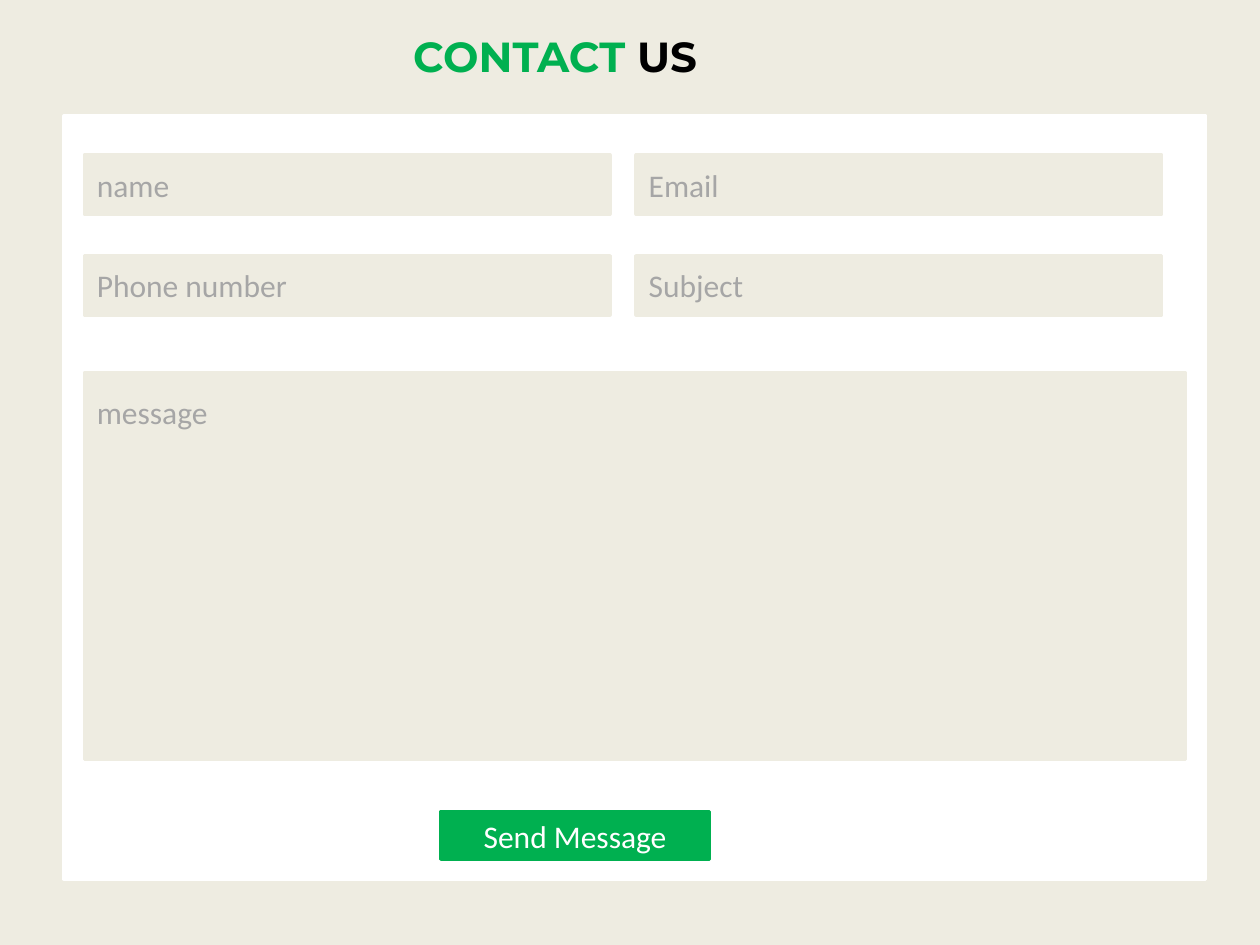
from lxml import etree
from pptx import Presentation
from pptx.dml.color import RGBColor
from pptx.enum.shapes import MSO_SHAPE
from pptx.enum.text import MSO_ANCHOR, PP_ALIGN
from pptx.oxml.ns import qn
from pptx.util import Inches, Pt

RECT = MSO_SHAPE.RECTANGLE
TOP, MIDDLE = MSO_ANCHOR.TOP, MSO_ANCHOR.MIDDLE
LEFT, CENTER = PP_ALIGN.LEFT, PP_ALIGN.CENTER

COLORS = {"sand": "EEECE1", "white": "FFFFFF", "green": "00B050",
          "gray": "A6A6A6", "black": "000000"}
TITLE = [("CONTACT", "green"), (" US", "black")]
FIELDS = [[("name", True), ("Email", False)],
          [("Phone number", True), ("Subject", False)]]
COLS, ROWS = (0.67, 5.05), (1.23, 2.03)
FIELD = (4.17, 0.47)
HEAD = {"name": "Montserrat", "size": Pt(24), "bold": True}
BODY = {"name": "Calibri", "size": Pt(18), "bold": False}


def rgb(key):
    return RGBColor.from_string(COLORS[key])


def add_run(para, text, color, style, edge=False):
    run = para.add_run()
    run.text = text
    for key, value in style.items():
        setattr(run.font, key, value)
    run.font.color.rgb = rgb(color)
    if edge:
        line = etree.Element(qn("a:ln"), w=str(Pt(0.75)))
        fill = etree.SubElement(line, qn("a:solidFill"))
        etree.SubElement(fill, qn("a:srgbClr"), val=COLORS[color])
        run.font._element.insert(0, line)


def add_box(slide, area, fill, text="", color="gray", edge=False,
            align=LEFT, anchor=MIDDLE, inset=0.05):
    box = slide.shapes.add_shape(RECT, *map(Inches, area))
    box.shadow.inherit = False
    box.fill.solid()
    box.fill.fore_color.rgb = box.line.color.rgb = rgb(fill)
    box.line.width = Pt(2)
    if text:
        frame = box.text_frame
        frame.vertical_anchor = anchor
        frame.margin_top = Inches(inset)
        frame.paragraphs[0].alignment = align
        add_run(frame.paragraphs[0], text, color, BODY, edge)


def main():
    """Build the contact form slide."""
    deck = Presentation()
    deck.slide_width, deck.slide_height = Inches(10), Inches(7.5)
    slide = deck.slides.add_slide(deck.slide_layouts[0])
    slide.background.fill.solid()
    slide.background.fill.fore_color.rgb = rgb("sand")
    sub = slide.placeholders[1]._element
    sub.getparent().remove(sub)

    title = slide.shapes.title
    spot = dict(left=2.95, top=0.01, width=2.91, height=0.87)
    for key, value in spot.items():
        setattr(title, key, Inches(value))
    title.text_frame.vertical_anchor = MIDDLE
    para = title.text_frame.paragraphs[0]
    para.alignment = CENTER
    for text, color in TITLE:
        add_run(para, text, color, HEAD)

    add_box(slide, (0.51, 0.92, 9.06, 6.06), "white")
    for top, row in zip(ROWS, FIELDS):
        for left, (text, edge) in zip(COLS, row):
            add_box(slide, (left, top, *FIELD), "sand", text, edge=edge)
    add_box(slide, (0.67, 2.96, 8.74, 3.07), "sand", "message", edge=True,
            anchor=TOP, inset=0.16)
    add_box(slide, (3.5, 6.44, 2.13, 0.38), "green", "Send Message", "white",
            align=CENTER)
    deck.save("out.pptx")


if __name__ == "__main__":
    main()
